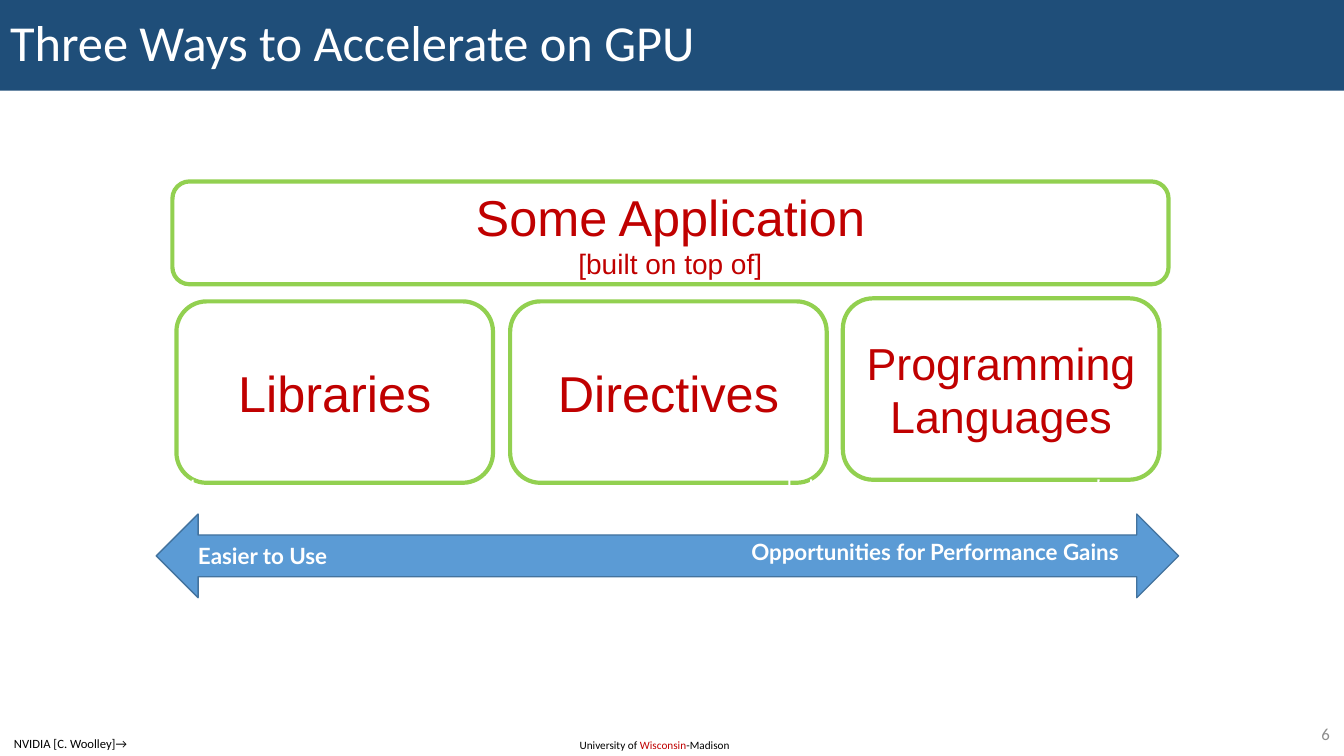
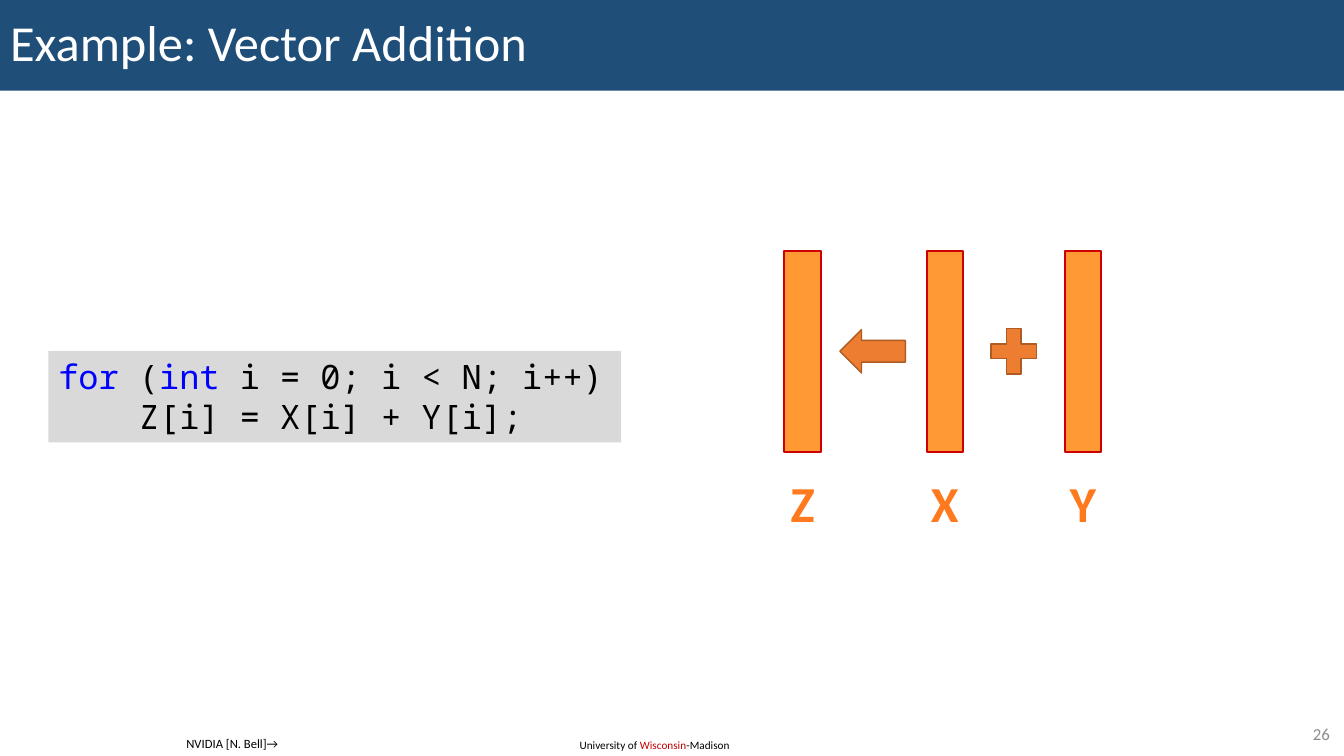
from dataclasses import dataclass

from pptx import Presentation
from pptx import util as u
from pptx.dml.color import RGBColor
from pptx.enum import shapes, text


@dataclass(frozen=True)
class Theme:
    band: str = "1F4E79"
    white: str = "FFFFFF"
    black: str = "000000"
    red: str = "C00000"
    gray: str = "8C8C8C"
    green: str = "92D050"
    blue: str = "5B9BD5"
    blue_edge: str = "43739E"
    orange: str = "ED7D31"
    orange_edge: str = "AF5C24"
    bar: str = "FF9933"
    bar_edge: str = "CC0000"
    letter: str = "FF7A1F"
    keyword: str = "0000FF"
    code_fill: str = "D9D9D9"
    body: str = "Calibri"
    heading: str = "Arial"
    accent: str = "Lato"
    mono: str = "Noto Sans Mono"
    large: int = 36
    medium: int = 32
    code: int = 24
    small: int = 20
    label: int = 16
    number: int = 12
    credit: int = 9
    footer: int = 8


theme = Theme()
SHAPE = shapes.MSO_SHAPE
LEFT, CENTER, RIGHT = text.PP_ALIGN.LEFT, text.PP_ALIGN.CENTER, text.PP_ALIGN.RIGHT
TOP, MIDDLE = text.MSO_ANCHOR.TOP, text.MSO_ANCHOR.MIDDLE


def write(shape, lines, font=theme.body, align=LEFT, anchor=TOP, bold=False, wrap=True):
    """Fill a shape with lines, each a size and a list of (words, colour) runs."""
    frame = shape.text_frame
    frame.word_wrap = wrap
    frame.vertical_anchor = anchor
    for index, (size, runs) in enumerate(lines):
        paragraph = frame.add_paragraph() if index else frame.paragraphs[0]
        paragraph.alignment = align
        paragraph.font.name = font
        paragraph.font.size = u.Pt(size)
        paragraph.font.bold = bold
        for words, color in runs:
            run = paragraph.add_run()
            run.text = words
            run.font.color.rgb = RGBColor.from_string(color)
    return shape


def draw(slide, kind, box, fill=None, line=None, width=1):
    shape = slide.shapes.add_shape(kind, *map(u.Inches, box))
    shape.shadow.inherit = False
    if fill:
        shape.fill.solid()
        shape.fill.fore_color.rgb = RGBColor.from_string(fill)
    else:
        shape.fill.background()
    if line:
        shape.line.color.rgb = RGBColor.from_string(line)
        shape.line.width = u.Pt(width)
    else:
        shape.line.fill.background()
    return shape


deck = Presentation()
deck.slide_width, deck.slide_height = u.Inches(13.33), u.Inches(7.5)

# Title band, footer, slide number and credit
pages = []
for heading, number, credit, credit_box in [
    ("Three Ways to Accelerate on GPU", "6", "NVIDIA [C. Woolley]→", (0.04, 7.25, 1.33, 0.25)),
    ("Example: Vector Addition", "26", "NVIDIA [N. Bell]→", (1.75, 7.25, 1.11, 0.25)),
]:
    page = deck.slides.add_slide(deck.slide_layouts[5])
    pages.append(page)
    title = page.shapes.title
    title.left, title.top, title.width, title.height = map(u.Inches, (0, 0, 13.33, 0.9))
    title.fill.solid()
    title.fill.fore_color.rgb = RGBColor.from_string(theme.band)
    write(title, [(theme.large, [(heading, theme.white)])], anchor=MIDDLE)
    title.text_frame.paragraphs[0].line_spacing = 0.9

    footer = page.shapes.add_textbox(*map(u.Inches, (5.65, 7.28, 1.72, 0.24)))
    write(footer, [(theme.footer, [("University of ", theme.black), ("Wisconsin", theme.red),
                                   ("-Madison", theme.black)])])
    page_number = page.shapes.add_textbox(*map(u.Inches, (12.53, 7.13, 0.76, 0.29)))
    write(page_number, [(theme.number, [(number, theme.gray)])], align=RIGHT, anchor=MIDDLE)
    source = page.shapes.add_textbox(*map(u.Inches, credit_box))
    write(source, [(theme.credit, [(credit, theme.black)])], wrap=False)

ways, example = pages

# Three ways: application layer over three approaches
draw(ways, SHAPE.LEFT_RIGHT_ARROW, (1.55, 5.1, 10.14, 0.83), theme.blue, theme.blue_edge)
for box, lines in [
    ((1.75, 2.99, 3.14, 1.8), [("Libraries", theme.large)]),
    ((5.06, 2.99, 3.14, 1.8), [("Directives", theme.large)]),
    ((8.36, 2.96, 3.14, 1.8), [("Programming Languages", theme.medium)]),
    ((1.71, 1.8, 9.88, 1.02), [("Some Application", theme.large),
                               ("[built on top of]", theme.small)]),
]:
    layer = draw(ways, SHAPE.ROUNDED_RECTANGLE, box, theme.white, theme.green, 3)
    write(layer, [(size, [(words, theme.red)]) for words, size in lines],
          theme.heading, CENTER, MIDDLE)

for box in [(4.67, 2, 0.4, 5.92), (9.27, 3.53, 0.4, 2.85)]:
    brace = draw(ways, SHAPE.RIGHT_BRACE, box, line=theme.white, width=1.5)
    brace.rotation = 90

for words, box, wrap in [
    ("Easier to Use", (1.82, 5.33, 1.57, 0.37), False),
    ("Opportunities for Performance Gains", (7.03, 5.29, 4.49, 0.37), True),
]:
    benefit = ways.shapes.add_textbox(*map(u.Inches, box))
    write(benefit, [(theme.label, [(words, theme.white)])], theme.accent, CENTER,
          bold=True, wrap=wrap)

# Vector addition: Z <- X + Y
draw(example, SHAPE.MATH_PLUS, (9.75, 3.18, 0.61, 0.61), theme.orange, theme.orange_edge)
draw(example, SHAPE.LEFT_ARROW, (8.33, 3.27, 0.65, 0.43), theme.orange, theme.orange_edge)
bar_width, letter_width = 0.36, 0.48
for letter, left in [("Z", 7.78), ("X", 9.19), ("Y", 10.56)]:
    draw(example, SHAPE.RECTANGLE, (left, 2.49, bar_width, 1.99), theme.bar, theme.bar_edge, 1.5)
    letter_left = left + (bar_width - letter_width) / 2
    vector = example.shapes.add_textbox(*map(u.Inches, (letter_left, 4.63, letter_width, 0.71)))
    write(vector, [(theme.large, [(letter, theme.letter)])], align=CENTER, bold=True, wrap=False)

code = draw(example, SHAPE.RECTANGLE, (0.48, 3.48, 5.68, 0.91), theme.code_fill)
write(code, [
    (theme.code, [("for", theme.keyword), (" (", theme.black), ("int", theme.keyword),
                  (" i = 0; i < N; i++)", theme.black)]),
    (theme.code, [("    Z[i] = X[i] + Y[i];", theme.black)]),
], theme.mono)

deck.save("out.pptx")
